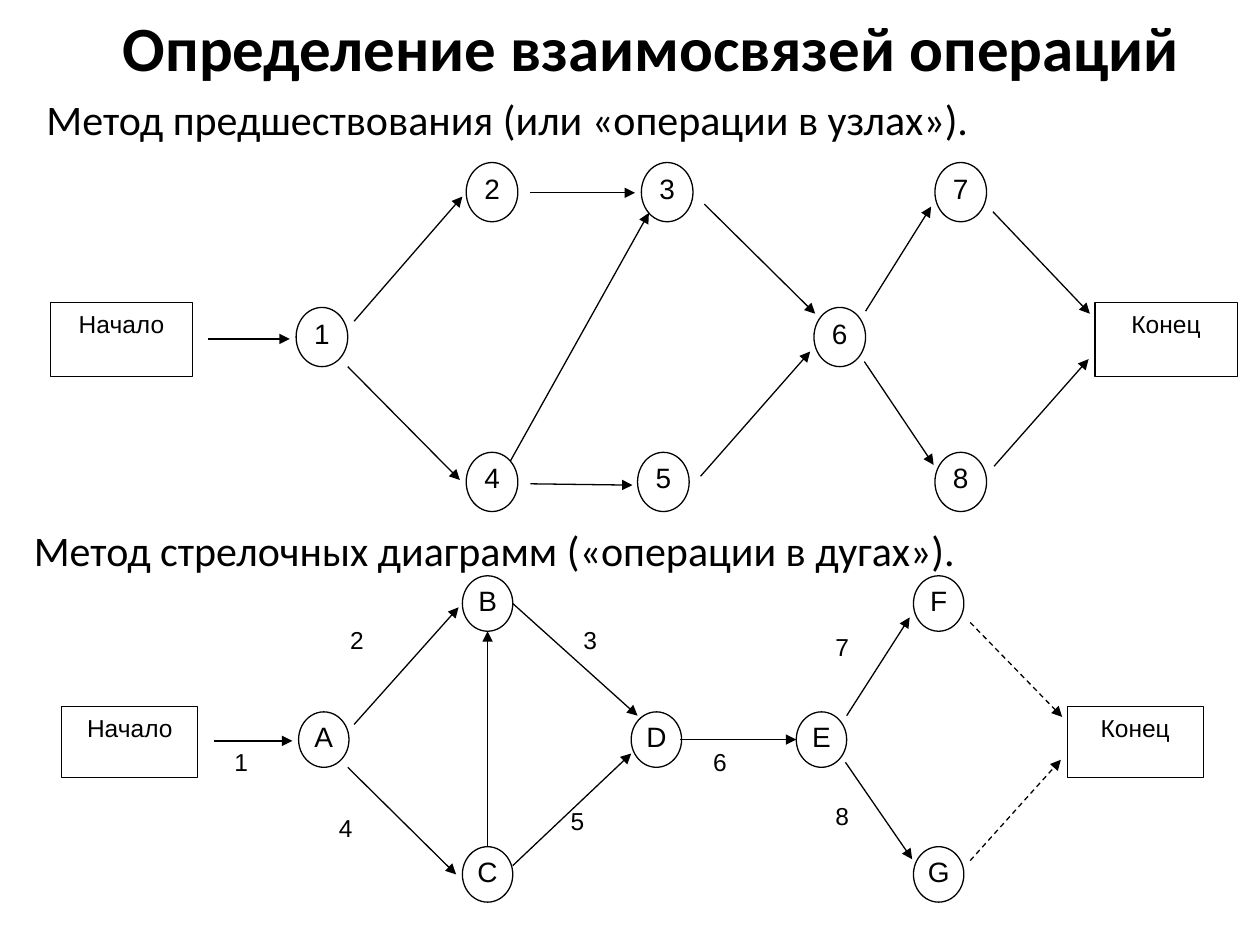
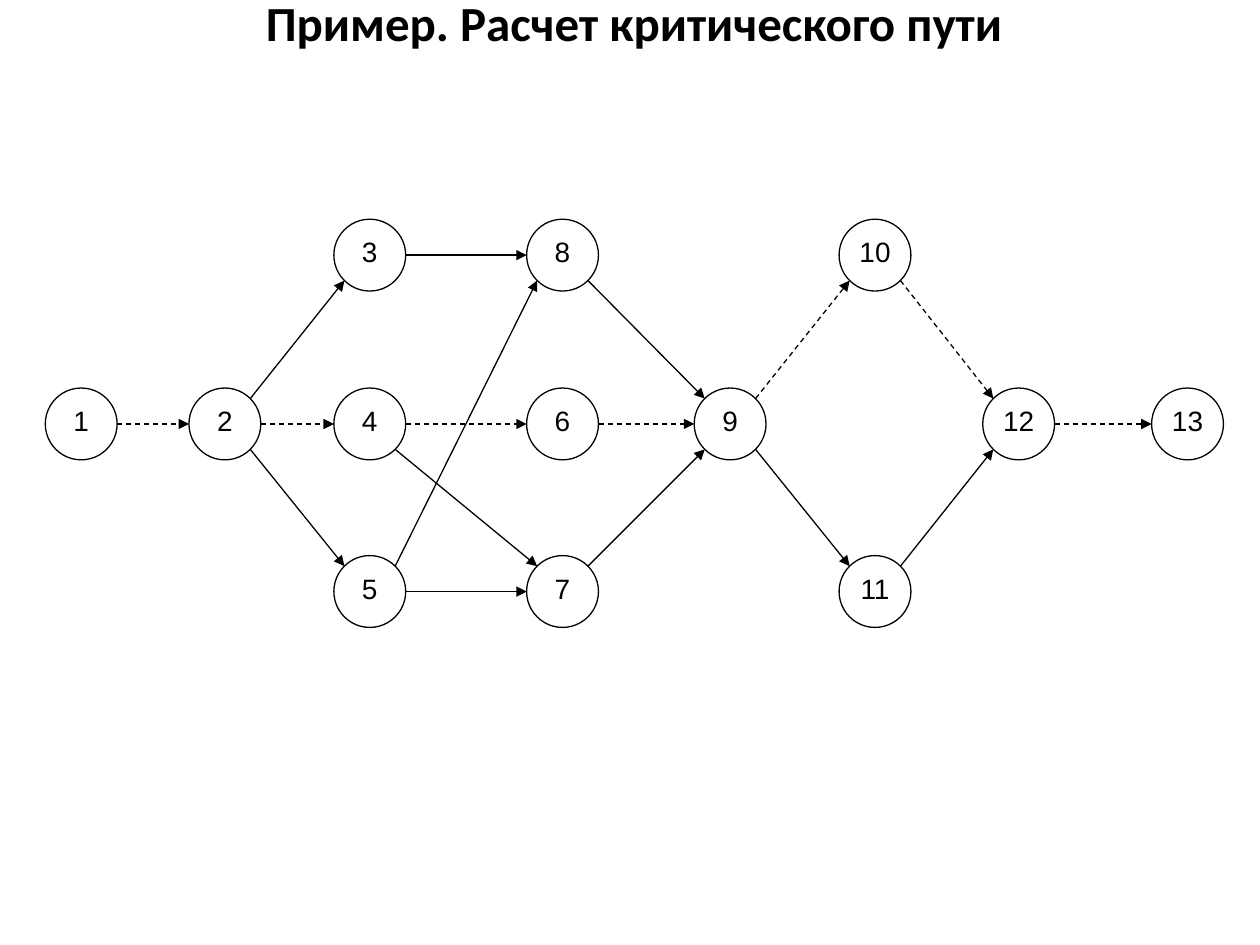
from dataclasses import dataclass
from math import copysign, sqrt

from lxml.etree import SubElement
from pptx import Presentation
from pptx.dml.color import RGBColor
from pptx.enum.dml import MSO_LINE
from pptx.enum.shapes import MSO_CONNECTOR, MSO_SHAPE
from pptx.enum.text import MSO_ANCHOR, MSO_AUTO_SIZE, PP_ALIGN
from pptx.oxml.ns import qn
from pptx.util import Inches, Pt


@dataclass(frozen=True)
class Theme:
    """Colours, fonts and sizes shared by the slides."""
    ink: RGBColor = RGBColor(0, 0, 0)
    paper: RGBColor = RGBColor(255, 255, 255)
    heading_font: str = "Calibri"
    diagram_font: str = "Arial"
    title: int = 36
    small_title: int = 28
    subtitle: int = 24
    node: int = 16
    label: int = 14
    line: float = 0.75


THEME = Theme()
NO_INSETS = (0, 0, 0, 0)
BOX_INSETS = (0.02, 0.05, 0.02, 0.05)
LABEL_INSETS = (0.02, 0.01, 0.02, 0.01)
HEADING_INSETS = (0.1, 0.05, 0.1, 0.05)
DIGIT_INSETS = (0.1, 0.04, 0.1, 0.05)
NUMBER_INSETS = (0.02, 0.04, 0.02, 0.05)

PRECEDENCE_NODES = {
    "2": (3.7, 1.29), "4": (3.7, 3.59), "3": (5.09, 1.29), "5": (5.06, 3.59),
    "6": (6.46, 2.44), "1": (2.35, 2.44), "7": (7.42, 1.29), "8": (7.42, 3.59),
}
PRECEDENCE_ARROWS = [
    (1.65, 2.69, 2.3, 2.69), (2.81, 2.55, 3.67, 1.56),
    (2.76, 2.91, 3.65, 3.81), (4.21, 1.53, 5.04, 1.53),
    (4.21, 3.84, 5.02, 3.85), (5.59, 1.62, 6.47, 2.49),
    (5.56, 3.78, 6.43, 2.79), (6.87, 2.47, 7.39, 1.64),
    (6.86, 2.87, 7.41, 3.69), (7.88, 1.68, 8.65, 2.49),
    (7.89, 3.7, 8.64, 2.85), (4.05, 3.66, 5.15, 1.69),
]
EVENT_NODES = {
    "B": (3.67, 4.57), "C": (3.67, 6.72), "D": (5.01, 5.65), "E": (6.32, 5.65),
    "A": (2.37, 5.65), "F": (7.25, 4.57), "G": (7.25, 6.72),
}
EVENT_ARROWS = [
    (1.7, 5.88, 2.32, 5.88), (2.81, 5.75, 3.64, 4.82),
    (2.76, 6.09, 3.62, 6.94), (4.07, 4.79, 5.06, 5.68),
    (4.07, 6.87, 5.01, 5.98), (6.72, 5.68, 7.22, 4.9),
    (6.71, 6.05, 7.24, 6.82), (3.87, 6.72, 3.87, 5.01),
    (5.4, 5.87, 6.32, 5.87),
]
DUMMY_ARROWS = [(7.7, 4.94, 8.43, 5.69), (7.7, 6.83, 8.42, 6.03)]
ARC_LABELS = {
    "1": (1.84, 5.92), "2": (2.76, 4.95), "4": (2.67, 6.44), "3": (4.61, 4.95),
    "5": (4.51, 6.39), "6": (5.64, 5.92), "7": (6.61, 5.01), "8": (6.61, 6.35),
}

PATH_DIAMETER = 0.57
PATH_COLUMNS = (0.36, 1.5, 2.65, 4.18, 5.51, 6.66, 7.8, 9.14)
PATH_ROWS = (1.74, 3.08, 4.41)
PATH_NODES = {
    "1": (0, 1), "2": (1, 1), "3": (2, 0), "4": (2, 1), "5": (2, 2),
    "8": (3, 0), "6": (3, 1), "7": (3, 2), "9": (4, 1), "10": (5, 0),
    "11": (5, 2), "12": (6, 1), "13": (7, 1),
}
PATH_LINKS = ["2-3", "2-5", "3-8", "5-7", "5-8", "4-7", "8-9", "7-9",
              "9-11", "11-12"]
CRITICAL_LINKS = ["1-2", "2-4", "4-6", "6-9", "9-10", "10-12", "12-13"]


def apply_format(target, values):
    """Set every attribute named in a dict of format values."""
    for name, value in values.items():
        setattr(target, name, value)


def write_text(shape, text, size, insets, font=THEME.diagram_font,
               align=PP_ALIGN.CENTER, bold=False):
    """Put one formatted line of text into a shape."""
    frame = shape.text_frame
    left, top, right, bottom = map(Inches, insets)
    apply_format(frame, {
        "word_wrap": True, "vertical_anchor": MSO_ANCHOR.TOP,
        "margin_left": left, "margin_top": top,
        "margin_right": right, "margin_bottom": bottom})
    paragraph = frame.paragraphs[0]
    paragraph.alignment = align
    run = paragraph.add_run()
    run.text = text
    apply_format(run.font, {"name": font, "size": Pt(size), "bold": bold})
    run.font.color.rgb = THEME.ink


def add_heading(slide, text, bounds, size, align=PP_ALIGN.LEFT, bold=False):
    """Add a heading that grows with its text."""
    shape = slide.shapes.add_textbox(*map(Inches, bounds))
    write_text(shape, text, size, HEADING_INSETS, THEME.heading_font, align, bold)
    shape.text_frame.auto_size = MSO_AUTO_SIZE.SHAPE_TO_FIT_TEXT


def add_title(slide, text, bounds, size):
    """Add a bold centred slide title."""
    add_heading(slide, text, bounds, size, PP_ALIGN.CENTER, True)


def add_outlined(group, kind, text, bounds, size, insets):
    """Add a white outlined shape with text."""
    shape = group.shapes.add_shape(kind, *map(Inches, bounds))
    shape.shadow.inherit = False
    shape.fill.solid()
    shape.fill.fore_color.rgb = THEME.paper
    shape.line.color.rgb = THEME.ink
    shape.line.width = Pt(THEME.line)
    write_text(shape, text, size, insets)


def add_node(group, text, position, size, insets=NO_INSETS):
    """Add a round network node."""
    add_outlined(group, MSO_SHAPE.OVAL, text, (*position, *size),
                 THEME.node, insets)


def add_terminals(group, lefts, top, size):
    """Add the start and finish boxes of a network."""
    for text, left in zip(("Начало", "Конец"), lefts):
        add_outlined(group, MSO_SHAPE.RECTANGLE, text, (left, top, *size),
                     THEME.label, BOX_INSETS)


def add_arrow(group, points, dash=MSO_LINE.SOLID):
    """Add a straight arrow through a start and an end point."""
    connector = group.shapes.add_connector(
        MSO_CONNECTOR.STRAIGHT, *map(Inches, points))
    connector.line.color.rgb = THEME.ink
    apply_format(connector.line, {"width": Pt(THEME.line), "dash_style": dash})
    properties = connector._element.spPr
    SubElement(properties.find(qn("a:ln")), qn("a:tailEnd"), type="triangle")
    SubElement(properties, qn("a:effectLst"))


def add_arc_label(group, text, position):
    """Add the number of an operation beside its arc."""
    shape = group.shapes.add_textbox(*map(Inches, (*position, 0.3, 0.33)))
    write_text(shape, text, THEME.label, LABEL_INSETS, align=PP_ALIGN.LEFT)


def path_center(name):
    """Return the centre of a node in the critical path grid."""
    column, row = PATH_NODES[name]
    radius = PATH_DIAMETER / 2
    return PATH_COLUMNS[column] + radius, PATH_ROWS[row] + radius


def link_points(link):
    """Find where a link leaves one node and meets the next."""
    (start_x, start_y), (end_x, end_y) = map(path_center, link.split("-"))
    radius = PATH_DIAMETER / 2
    rise = end_y - start_y
    offset_x = radius / sqrt(2) if rise else radius
    offset_y = copysign(radius / sqrt(2), rise) if rise else 0
    return (start_x + offset_x, start_y + offset_y,
            end_x - offset_x, end_y - offset_y)


def add_precedence_network(slide):
    """Draw the network with operations in nodes."""
    group = slide.shapes.add_group_shape()
    for text, position in PRECEDENCE_NODES.items():
        add_node(group, text, position, (0.41, 0.47))
    for points in PRECEDENCE_ARROWS:
        add_arrow(group, points)
    add_terminals(group, (0.4, 8.69), 2.4, (1.13, 0.59))


def add_arrow_network(slide):
    """Draw the network with operations on arcs."""
    group = slide.shapes.add_group_shape()
    for text, position in EVENT_NODES.items():
        add_node(group, text, position, (0.4, 0.44))
    for points in EVENT_ARROWS:
        add_arrow(group, points)
    for points in DUMMY_ARROWS:
        add_arrow(group, points, MSO_LINE.DASH)
    add_terminals(group, (0.49, 8.47), 5.61, (1.08, 0.56))
    for text, position in ARC_LABELS.items():
        add_arc_label(group, text, position)


def add_critical_path(slide):
    """Draw the network with its critical path dashed."""
    group = slide.shapes.add_group_shape()
    for text, (column, row) in PATH_NODES.items():
        insets = DIGIT_INSETS if len(text) == 1 else NUMBER_INSETS
        add_node(group, text, (PATH_COLUMNS[column], PATH_ROWS[row]),
                 (PATH_DIAMETER, PATH_DIAMETER), insets)
    for link in PATH_LINKS:
        add_arrow(group, link_points(link))
    for link in CRITICAL_LINKS:
        add_arrow(group, link_points(link), MSO_LINE.DASH)


def add_slide(presentation):
    """Add a blank slide with the shared background."""
    slide = presentation.slides.add_slide(presentation.slide_layouts[6])
    slide.background.fill.solid()
    slide.background.fill.fore_color.rgb = THEME.paper
    return slide


def main():
    """Build and save the presentation."""
    presentation = Presentation()
    apply_format(presentation, {"slide_width": Inches(10),
                                "slide_height": Inches(7.5)})
    slide = add_slide(presentation)
    add_title(slide, "Определение взаимосвязей операций",
              (0.73, 0.02, 8.88, 0.71), THEME.title)
    add_heading(slide, "Метод предшествования (или «операции в узлах»).",
                (0.27, 0.69, 9.33, 0.5), THEME.subtitle)
    add_precedence_network(slide)
    add_heading(slide, "Метод стрелочных диаграмм («операции в дугах»).",
                (0.17, 4.11, 9.3, 0.5), THEME.subtitle)
    add_arrow_network(slide)

    slide = add_slide(presentation)
    add_title(slide, "Пример. Расчет критического пути",
              (0.59, -0.11, 8.88, 0.57), THEME.small_title)
    add_critical_path(slide)
    presentation.save("out.pptx")


main()
